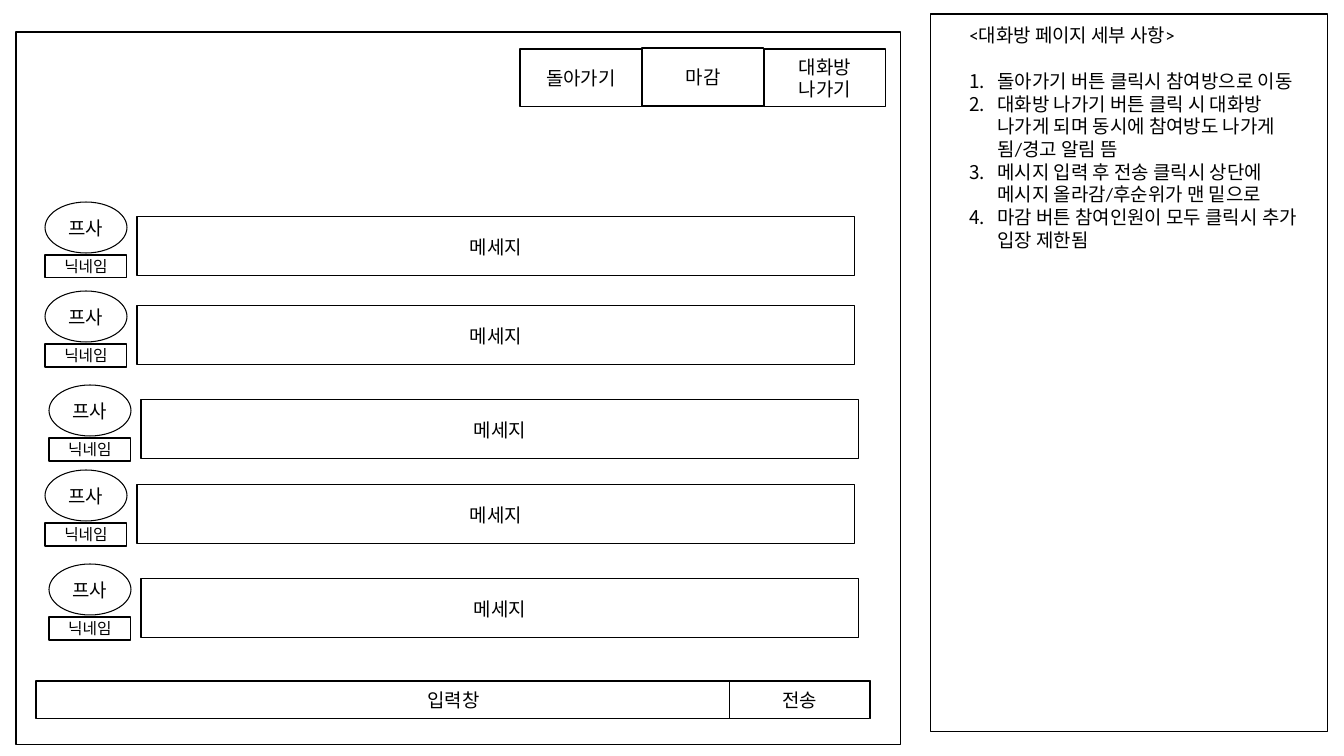
from dataclasses import dataclass

from lxml.etree import SubElement
from pptx import Presentation
from pptx.dml.color import RGBColor
from pptx.enum.shapes import MSO_SHAPE
from pptx.enum.text import MSO_ANCHOR, MSO_AUTO_SIZE, PP_ALIGN
from pptx.oxml.ns import qn
from pptx.util import Emu, Pt


@dataclass(frozen=True)
class Theme:
    font: str = "Calibri"
    ink: RGBColor = RGBColor(0, 0, 0)
    paper: RGBColor = RGBColor(255, 255, 255)
    body: Pt = Pt(18)
    small: Pt = Pt(15)
    line: Pt = Pt(1)


THEME = Theme()

NOTES_TITLE = "<대화방 페이지 세부 사항>"
NOTES = [
    "돌아가기 버튼 클릭시 참여방으로 이동",
    "대화방 나가기 버튼 클릭 시 대화방 나가게 되며 동시에 참여방도 나가게 됨/경고 알림 뜸",
    "메시지 입력 후 전송 클릭시 상단에 메시지 올라감/후순위가 맨 밑으로",
    "마감 버튼 참여인원이 모두 클릭시 추가 입장 제한됨",
]
# label, top
BUTTONS = [("돌아가기", 49), ("마감", 48), ("대화방\v나가기", 49)]
# left, top of each message row
MESSAGE_ROWS = [(45, 202), (45, 291), (49, 385), (45, 470), (49, 564)]
# preset, label, offset right, offset down, width, height, text size
ROW_PARTS = [
    (MSO_SHAPE.OVAL, "프사", 0, 0, 82, 51, THEME.body),
    (MSO_SHAPE.RECTANGLE, "닉네임", 0, 53, 82, 23, THEME.small),
    (MSO_SHAPE.RECTANGLE, "메세지", 92, 15, 718, 59, THEME.body),
]
SLIDE_SIZE = (1344, 756)
NOTES_PANEL = (931, 14, 397, 718)
NOTES_TEXT = (962, 20, 347, 259)
CHAT_PANEL = (16, 32, 885, 713)
INPUT_BAR = (36, 681, 835, 38)
SEND_BUTTON = (730, 681, 140, 38)
BUTTON_LEFT, BUTTON_WIDTH, BUTTON_HEIGHT = 520, 122, 58
LIST_INDENT = 28


def px(value):
    return Emu(round(value * 914400 / 75.6))


def style_font(paragraph, size):
    font = paragraph.font
    font.name = THEME.font
    font.size = size
    font.color.rgb = THEME.ink


def add_box(slide, bounds, label="", size=THEME.body, preset=MSO_SHAPE.RECTANGLE):
    shape = slide.shapes.add_shape(preset, *map(px, bounds))
    shape.shadow.inherit = False
    shape.fill.solid()
    shape.fill.fore_color.rgb = THEME.paper
    shape.line.color.rgb = THEME.ink
    shape.line.width = THEME.line
    if label:
        frame = shape.text_frame
        frame.vertical_anchor = MSO_ANCHOR.MIDDLE
        paragraph = frame.paragraphs[0]
        paragraph.text = label
        paragraph.alignment = PP_ALIGN.CENTER
        style_font(paragraph, size)


def number_paragraph(paragraph):
    properties = paragraph._p.get_or_add_pPr()
    properties.set("marL", str(px(LIST_INDENT)))
    properties.set("indent", str(-px(LIST_INDENT)))
    SubElement(properties, qn("a:buAutoNum"), type="arabicPeriod")


def add_notes(slide):
    add_box(slide, NOTES_PANEL)
    frame = slide.shapes.add_textbox(*map(px, NOTES_TEXT)).text_frame
    frame.word_wrap = True
    frame.auto_size = MSO_AUTO_SIZE.SHAPE_TO_FIT_TEXT
    title = frame.paragraphs[0]
    title.text = NOTES_TITLE
    title.space_after = Pt(22)
    style_font(title, THEME.body)
    for note in NOTES:
        paragraph = frame.add_paragraph()
        paragraph.text = note
        number_paragraph(paragraph)
        style_font(paragraph, THEME.body)


def add_chat(slide):
    add_box(slide, CHAT_PANEL)
    for index, (label, top) in enumerate(BUTTONS):
        left = BUTTON_LEFT + index * BUTTON_WIDTH
        add_box(slide, (left, top, BUTTON_WIDTH, BUTTON_HEIGHT), label)
    for left, top in MESSAGE_ROWS:
        for preset, label, right, down, width, height, size in ROW_PARTS:
            add_box(slide, (left + right, top + down, width, height), label, size, preset)
    add_box(slide, INPUT_BAR, "입력창")
    add_box(slide, SEND_BUTTON, "전송")


def main():
    presentation = Presentation()
    presentation.slide_width, presentation.slide_height = map(px, SLIDE_SIZE)
    slide = presentation.slides.add_slide(presentation.slide_layouts[6])
    add_notes(slide)
    add_chat(slide)
    presentation.save("out.pptx")


if __name__ == "__main__":
    main()
